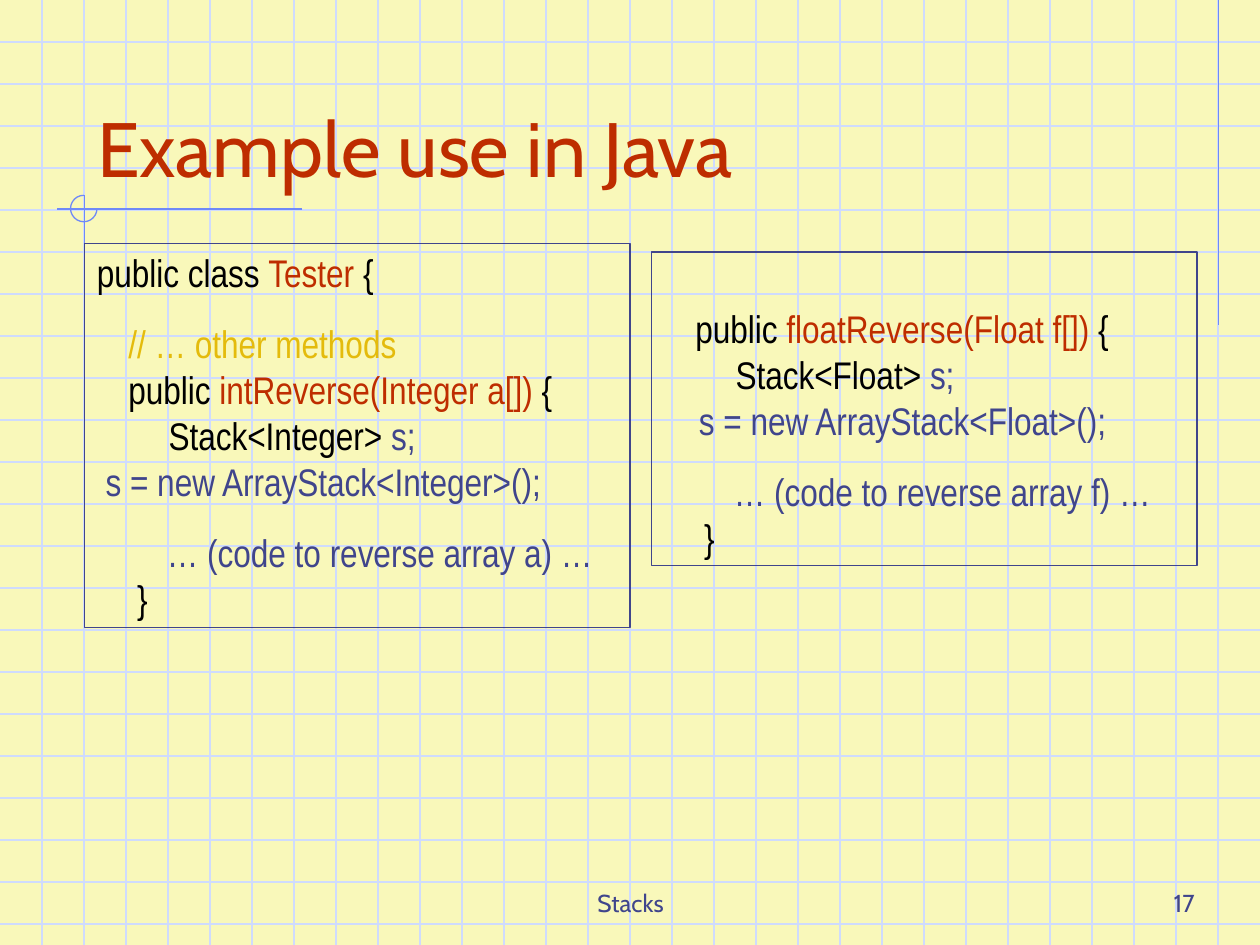
"""Build the slide with two Java stack examples on graph paper."""
from lxml import etree
from pptx import Presentation, util as u
from pptx.dml.color import RGBColor
from pptx.enum import shapes, text
from pptx.oxml.ns import qn

PAPER, GRID, RULE = "F9F8BA", "CFDBFD", "6F89F7"
INK, RED, GOLD, BLACK = "40458C", "BE2D00", "E4BB0C", "000000"
WIDTH, HEIGHT = 10, 7.5
CELLS_PER_INCH = 3
TAB_STOPS = (0.25, 0.5)

TITLE = "Example use in Java"
FOOTERS = [
    ("Stacks", 3.42, 3.17, text.PP_ALIGN.CENTER),
    ("17", 7.5, 2.08, text.PP_ALIGN.RIGHT),
]
RULES = [
    (9.67, 0, 9.67, 2.58),
    (2.4, 1.66, 0.45, 1.66),
    (0.67, 1.55, 0.67, 4.09),
]


def reverse_method(name, kind, array, indent):
    """Return the two paragraphs of a reverse method, as lines of coloured runs."""
    return [
        [
            [("\tpublic ", BLACK), (f"{name}({kind} {array}[]) ", RED), ("{", BLACK)],
            [(f"\t\t Stack<{kind}> ", BLACK), ("s;", INK)],
            [(f"{indent}s = new ArrayStack<{kind}>();", INK)],
        ],
        [
            [(f"        … (code to reverse array {array}) …", INK)],
            [("\t }", BLACK)],
        ],
    ]


CLASS_LINE = [("public class ", BLACK), ("Tester ", RED), ("{", BLACK)]
COMMENT_LINE = [("\t// … other methods", GOLD)]
int_body, int_end = reverse_method("intReverse", "Integer", "a", " ")
CODE_BOXES = [
    (0.67, 1.93, 3.05, 0.05, [[CLASS_LINE], [COMMENT_LINE] + int_body, int_end]),
    (5.17, 2, 2.49, 0.42, reverse_method("floatReverse", "Float", "f", "    ")),
]


def rgb(value):
    return RGBColor.from_string(value)


def style(run, size, face, color):
    run.font.size, run.font.name = u.Pt(size), face
    run.font.color.rgb = rgb(color)


def add_line(slide, x1, y1, x2, y2, color):
    line = slide.shapes.add_connector(
        shapes.MSO_CONNECTOR.STRAIGHT, *map(u.Inches, (x1, y1, x2, y2)))
    line.line.color.rgb, line.line.width = rgb(color), u.Pt(0.75)
    etree.SubElement(line._element.spPr, qn("a:effectLst"))


def add_outline(slide, kind, x, y, w, h, color):
    outline = slide.shapes.add_shape(kind, *map(u.Inches, (x, y, w, h)))
    outline.shadow.inherit = False
    outline.fill.background()
    outline.line.color.rgb, outline.line.width = rgb(color), u.Pt(0.75)
    return outline


def add_paper(slide):
    slide.background.fill.solid()
    slide.background.fill.fore_color.rgb = rgb(PAPER)
    for row in range(1, int(HEIGHT * CELLS_PER_INCH) + 1):
        y = row / CELLS_PER_INCH
        add_line(slide, 0, y, WIDTH, y, GRID)
    for column in range(1, WIDTH * CELLS_PER_INCH):
        x = column / CELLS_PER_INCH
        add_line(slide, x, 0, x, HEIGHT, GRID)
    for rule in RULES:
        add_line(slide, *rule, RULE)
    ring = add_outline(slide, shapes.MSO_SHAPE.ARC, 0.56, 1.55, 0.21, 0.21, RULE)
    ring.adjustments[0], ring.adjustments[1] = 0, 162


def add_title(slide):
    title = slide.shapes.title
    title.left, title.top, title.width, title.height = map(u.Inches, (0.67, 0.33, 8.5, 1.25))
    frame = title.text_frame
    frame.text = TITLE
    frame.auto_size = text.MSO_AUTO_SIZE.NONE
    frame.vertical_anchor = text.MSO_ANCHOR.BOTTOM
    frame.paragraphs[0].alignment = text.PP_ALIGN.LEFT
    style(frame.paragraphs[0].runs[0], 44, "Cabin", INK if not TITLE else RED)
    slide.shapes._spTree.append(title._element)


def add_footer(slide, wording, x, w, alignment):
    frame = slide.shapes.add_textbox(*map(u.Inches, (x, 6.83, w, 0.5))).text_frame
    frame.word_wrap = True
    frame.vertical_anchor = text.MSO_ANCHOR.BOTTOM
    frame.text = wording
    frame.paragraphs[0].alignment = alignment
    style(frame.paragraphs[0].runs[0], 14, "Cabin", INK)


def add_code(slide, x, y, h, top_margin, blocks):
    frame = add_outline(slide, shapes.MSO_SHAPE.RECTANGLE, x, y, 4.33, h, INK).text_frame
    frame.word_wrap = True
    frame.auto_size = text.MSO_AUTO_SIZE.SHAPE_TO_FIT_TEXT
    frame.vertical_anchor = text.MSO_ANCHOR.TOP
    frame.margin_top = u.Inches(top_margin)
    for number, lines in enumerate(blocks):
        paragraph = frame.add_paragraph() if number else frame.paragraphs[0]
        paragraph.alignment = text.PP_ALIGN.LEFT
        paragraph.space_before = u.Pt(13.8 if number else 0)
        tabs = etree.SubElement(paragraph._p.get_or_add_pPr(), qn("a:tabLst"))
        for stop in TAB_STOPS:
            etree.SubElement(tabs, qn("a:tab"), pos=str(u.Inches(stop)), algn="l")
        for position, line in enumerate(lines):
            if position:
                paragraph.add_line_break()
            for wording, color in line:
                run = paragraph.add_run()
                run.text = wording
                style(run, 22, "Arial Narrow", color)


def main():
    deck = Presentation()
    deck.slide_width, deck.slide_height = u.Inches(WIDTH), u.Inches(HEIGHT)
    slide = deck.slides.add_slide(deck.slide_layouts[5])
    add_paper(slide)
    for footer in FOOTERS:
        add_footer(slide, *footer)
    add_title(slide)
    for box in CODE_BOXES:
        add_code(slide, *box)
    deck.save("out.pptx")


if __name__ == "__main__":
    main()
